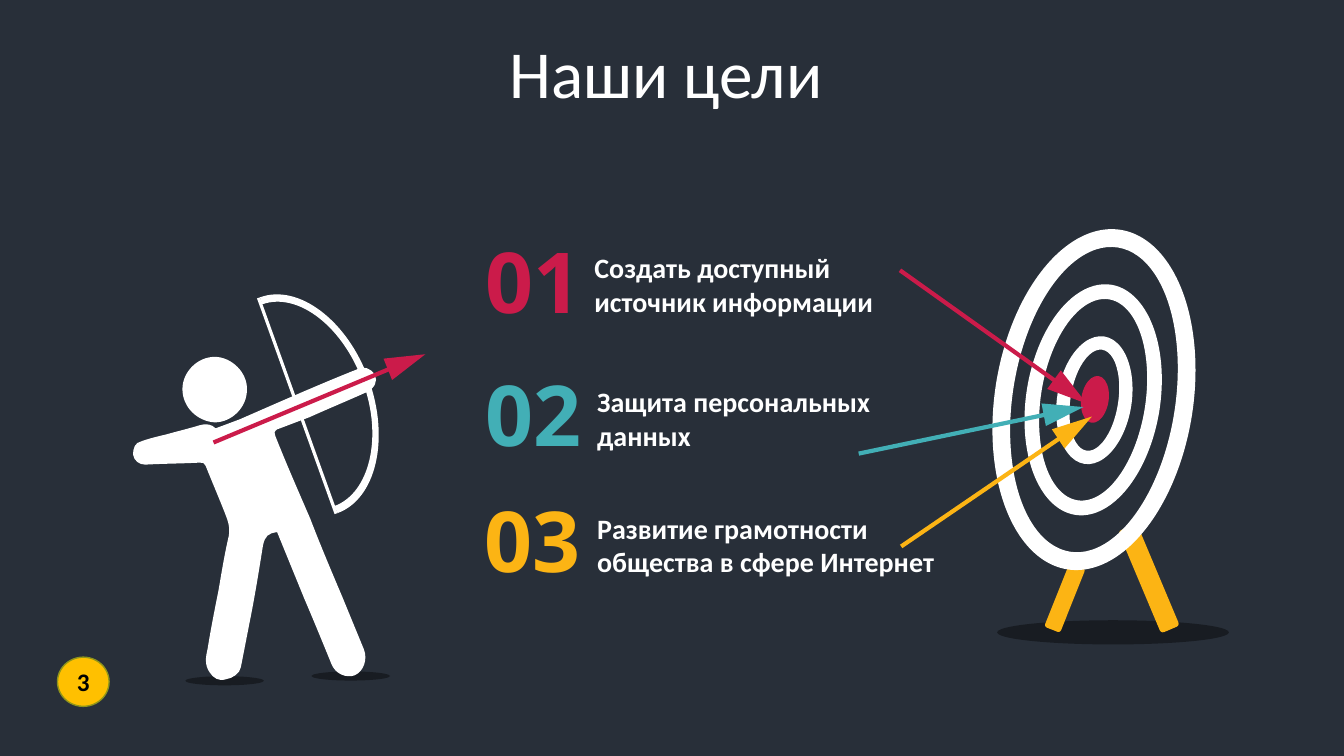
import math
from lxml import etree
from pptx import Presentation
from pptx.dml.color import RGBColor
from pptx.enum.shapes import MSO_CONNECTOR, MSO_SHAPE
from pptx.enum.text import MSO_ANCHOR, MSO_AUTO_SIZE, PP_ALIGN
from pptx.oxml.ns import qn
from pptx.util import Cm, Pt

OVAL, DONUT = MSO_SHAPE.OVAL, MSO_SHAPE.DONUT
TRIANGLE, ROUNDED = MSO_SHAPE.ISOSCELES_TRIANGLE, MSO_SHAPE.ROUNDED_RECTANGLE
PAGE_DOT = MSO_SHAPE.FLOWCHART_CONNECTOR
STRAIGHT = MSO_CONNECTOR.STRAIGHT
LEFT, CENTER = PP_ALIGN.LEFT, PP_ALIGN.CENTER
MIDDLE = MSO_ANCHOR.MIDDLE
GROW = MSO_AUTO_SIZE.SHAPE_TO_FIT_TEXT

COLORS = {
    "background": "282F39", "white": "FFFFFF", "black": "000000",
    "red": "CB1B4A", "teal": "42AFB6", "yellow": "FCB414",
    "dot": "FFC000", "dot_edge": "90951A",
}
TARGET_TILT = 8.9
GRID = 0.0254  # centimetres per unit of the archer's outlines

# Outlines: a start point, then lines (2 numbers) and cubic curves (6 numbers)
BODY = [
    (275, 528), (266, 529, 263, 532, 261, 541), (257, 566, 253, 591, 248, 616),
    (245, 631, 242, 647, 239, 662), (238, 668, 231, 673, 224, 674),
    (217, 676, 212, 673, 208, 667), (203, 660, 204, 652, 206, 644),
    (209, 625, 213, 605, 217, 585), (220, 567, 223, 549, 227, 532),
    (229, 522, 225, 514, 222, 506), (216, 491, 210, 477, 204, 462),
    (203, 459, 201, 459, 198, 459), (180, 460, 162, 460, 144, 461),
    (138, 461, 133, 457, 132, 451), (132, 445, 134, 439, 140, 438),
    (148, 435, 157, 433, 165, 431), (176, 428, 188, 425, 198, 422),
    (205, 420, 210, 421, 214, 425), (222, 422, 230, 419, 238, 416),
    (270, 402, 320, 380, 353, 367), (361, 363, 368, 365, 372, 372),
    (375, 378, 372, 385, 364, 389), (351, 395, 320, 408, 307, 414),
    (296, 418, 286, 422, 275, 426), (272, 428, 272, 430, 273, 432),
    (284, 460, 296, 487, 308, 515), (318, 541, 329, 567, 340, 593),
    (347, 610, 354, 627, 361, 644), (365, 654, 361, 666, 352, 670),
    (344, 673, 333, 669, 329, 659), (320, 637, 311, 615, 302, 594),
    (293, 572, 284, 550, 275, 528),
]
HEAD = [
    (245, 387), (245, 404, 230, 419, 213, 419), (196, 418, 181, 404, 181, 386),
    (181, 369, 196, 354, 213, 354), (230, 354, 246, 370, 245, 387),
]
BOW = [
    (258, 295), (260, 302, 260, 302, 260, 302), (296, 289, 341, 325, 360, 379),
    (380, 433, 367, 489, 332, 502), (335, 509, 335, 509, 335, 509),
    (373, 495, 387, 436, 366, 377), (345, 318, 296, 281, 258, 295),
]
BOWSTRING = [(332, 510), (335, 509), (258, 295), (255, 296), (332, 510)]

# Number, colour, number box (left, top, width), text,
# text box (left, top, width), arrow ends
GOALS = [
    ("01", "red", (11.53, 5.66, 3.81),
     "Создать доступный источник информации",
     (14.73, 6.2, 8.51), (22.68, 6.81), (27.03, 9.91)),
    ("02", "teal", (11.53, 9, 3.81), "Защита персональных данных",
     (14.8, 9.57, 9.47), (21.64, 11.43), (26.87, 10.34)),
    ("03", "yellow", (11.78, 12.19, 3.28),
     "Развитие грамотности общества в сфере Интернет",
     (14.8, 12.76, 9.55), (22.71, 13.77), (27.15, 10.74)),
]


def rgb(name):
    return RGBColor.from_string(COLORS[name])


def paint(shape, color):
    shape.shadow.inherit = False
    shape.fill.solid()
    shape.fill.fore_color.rgb = rgb(color)
    shape.line.fill.background()


def add_figure(shapes, kind, box, color, rotation=0, adjustment=None):
    figure = shapes.add_shape(kind, *(Cm(length) for length in box))
    figure.rotation = rotation
    if adjustment is not None:
        figure.adjustments[0] = adjustment
    paint(figure, color)
    return figure


def add_ground_shadow(shapes, box):
    shadow = add_figure(shapes, OVAL, box, "black")
    color = shadow.fill._xPr.find(qn("a:solidFill"))[0]
    etree.SubElement(color, qn("a:alpha")).set("val", "40000")


def add_outline(shapes, outline, color):
    """Build a polygon through all nodes, then join node triples into curves."""
    nodes = [(Cm(segment[i] * GRID), Cm(segment[i + 1] * GRID))
             for segment in outline for i in range(0, len(segment), 2)]
    builder = shapes.build_freeform(*nodes[0])
    builder.add_line_segments(nodes[1:], close=True)
    shape = builder.convert_to_shape()
    lines = iter(list(shape._element.iter(qn("a:lnTo"))))
    for segment in outline[1:]:
        line = next(lines)
        if len(segment) == 6:
            line.tag = qn("a:cubicBezTo")
            for _ in range(2):
                extra = next(lines)
                line.append(extra[0])
                extra.getparent().remove(extra)
    paint(shape, color)


def add_arrow(shapes, start, end, color):
    """Draw a shaft with a long triangular head centred just before its end."""
    shaft = shapes.add_connector(
        STRAIGHT, *(Cm(length) for length in start + end))
    shaft.line.color.rgb = rgb(color)
    shaft.line.width = Pt(3)
    etree.SubElement(shaft._element.spPr, qn("a:effectLst"))

    width, height, setback = 0.58, 1.02, 0.07
    angle = math.atan2(end[1] - start[1], end[0] - start[0])
    left = end[0] - setback * math.cos(angle) - width / 2
    top = end[1] - setback * math.sin(angle) - height / 2
    add_figure(shapes, TRIANGLE, (left, top, width, height), color,
               rotation=math.degrees(angle) + 90.8)


def write(frame, text, size, color, font="Calibri", bold=True, align=LEFT):
    frame.word_wrap = True
    para = frame.paragraphs[0]
    para.text = text
    para.alignment = align
    para.font.name = font
    para.font.size = Pt(size)
    para.font.bold = bold
    para.font.color.rgb = rgb(color)


def add_text(shapes, box, *args, **style):
    text_box = shapes.add_textbox(*(Cm(length) for length in box))
    text_box.text_frame.auto_size = GROW
    write(text_box.text_frame, *args, **style)


def add_archer(shapes):
    archer = shapes.add_group_shape().shapes
    add_ground_shadow(archer, (4.67, 17.04, 1.98, 0.23))
    add_ground_shadow(archer, (7.85, 16.92, 1.98, 0.23))
    for outline in (BODY, HEAD, BOW, BOWSTRING):
        add_outline(archer, outline, "white")
    add_arrow(archer, (5.38, 11.15), (10.31, 9.09), "red")


def add_target(shapes):
    add_ground_shadow(shapes, (25.13, 15.63, 5.84, 0.61))
    add_figure(shapes, ROUNDED, (28.7, 13.18, 0.51, 2.79), "yellow", 337.2)
    add_figure(shapes, ROUNDED, (26.62, 14.2, 0.43, 1.73), "yellow", 21.8)
    target = shapes.add_group_shape().shapes
    for box, thickness in (((25.07, 5.74, 5, 8.66), 0.09),
                           ((25.86, 7.14, 3.38, 5.87), 0.11),
                           ((26.64, 8.46, 1.88, 3.25), 0.18)):
        add_figure(target, DONUT, box, "white", TARGET_TILT, thickness)
    add_figure(target, OVAL, (27.25, 9.47, 0.69, 1.19), "red", TARGET_TILT)


def add_goal(shapes, number, color, number_box, text, text_box, start, end):
    add_text(shapes, (*number_box, 2.82), number, 60, color,
             font="Open Sans", align=CENTER)
    add_arrow(shapes.add_group_shape().shapes, start, end, color)
    add_text(shapes, (*text_box, 1.96), text, 20, "white")


def add_page_number(shapes, number):
    dot = add_figure(shapes, PAGE_DOT, (1.45, 16.56, 1.3, 1.24), "dot")
    dot.line.color.rgb = rgb("dot_edge")
    dot.line.width = Pt(1)
    frame = dot.text_frame
    frame.margin_left = frame.margin_right = 0
    frame.margin_top = frame.margin_bottom = 0
    frame.vertical_anchor = MIDDLE
    write(frame, number, 18, "black", align=CENTER)


def main():
    deck = Presentation()
    deck.slide_width, deck.slide_height = Cm(33.87), Cm(19.05)
    page = deck.slides.add_slide(deck.slide_layouts[6])
    page.background.fill.solid()
    page.background.fill.fore_color.rgb = rgb("background")
    shapes = page.shapes
    add_text(shapes, (3.35, 0.66, 26.87, 2.39), "Наши цели", 48, "white",
             bold=False, align=CENTER)
    add_archer(shapes)
    add_target(shapes)
    for goal in GOALS:
        add_goal(shapes, *goal)
    add_page_number(shapes, "3")
    deck.save("out.pptx")


if __name__ == "__main__":
    main()
